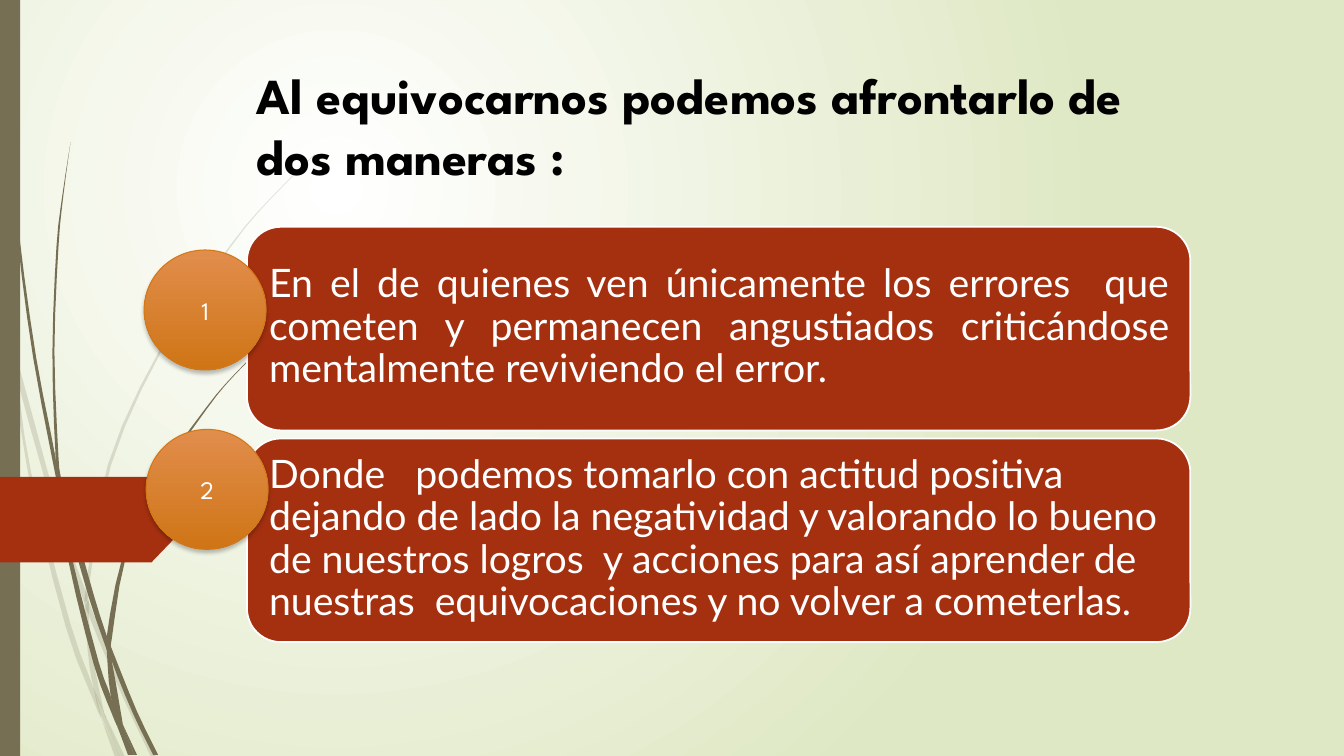
from dataclasses import dataclass

from lxml import etree
from pptx import Presentation
from pptx.dml.color import RGBColor
from pptx.enum.shapes import MSO_SHAPE
from pptx.enum.text import MSO_ANCHOR, PP_ALIGN
from pptx.oxml.ns import qn
from pptx.util import Pt

PX = 9144  # EMU per px, 100 px to the inch
WIDE, HIGH = 12192000, 750 * PX
STEPS = 3  # line pieces per curve span

WHITE = RGBColor(0xFF, 0xFF, 0xFF)
BLACK = RGBColor(0x00, 0x00, 0x00)
PALE = RGBColor(0xDF, 0xE8, 0xC4)
OLIVE = RGBColor(0x76, 0x6F, 0x54)
RUST = RGBColor(0xA5, 0x30, 0x10)
LIGHT = RGBColor(0xE1, 0x8D, 0x4C)
DEEP = RGBColor(0xCF, 0x75, 0x16)
EDGE = RGBColor(0xD4, 0x78, 0x17)

RECT, ROUND = MSO_SHAPE.RECTANGLE, MSO_SHAPE.ROUNDED_RECTANGLE
OVAL, ARROW = MSO_SHAPE.OVAL, MSO_SHAPE.PENTAGON
TOP, MIDDLE = MSO_ANCHOR.TOP, MSO_ANCHOR.MIDDLE
LEFT, CENTER, JUSTIFY = PP_ALIGN.LEFT, PP_ALIGN.CENTER, PP_ALIGN.JUSTIFY

Points = list[tuple[int, int]]


@dataclass
class Blade:
    """A piece of grass between two edges that run from tip to root."""
    near: Points
    far: Points


@dataclass
class Item:
    left: int
    top: int
    text: str
    align: PP_ALIGN = CENTER


FAINT = [
    Blade([(0, 299), (10, 344), (11, 350)], [(0, 282), (9, 322), (11, 350)]),
    Blade([(14, 345), (17, 376), (58, 522), (84, 599)], [(14, 345), (62, 520), (85, 586)]),
    Blade([(88, 596), (88, 610), (123, 694), (150, 751)],
          [(88, 596), (92, 607), (127, 692), (155, 751)]),
    Blade([(105, 711), (119, 751)], [(105, 711), (124, 751)]),
    Blade([(11, 350), (28, 470), (65, 621), (92, 693), (101, 714)],
          [(11, 350), (17, 376), (31, 469), (70, 619), (93, 683), (101, 714)]),
    Blade([(84, 599), (87, 646), (93, 683), (105, 711)],
          [(84, 599), (88, 610), (91, 646), (103, 706), (105, 711)]),
    Blade([(312, 153), (268, 197), (228, 244), (158, 348), (107, 461), (85, 584), (88, 596)],
          [(312, 154), (268, 198), (229, 245), (160, 349), (110, 462), (88, 584), (88, 596)]),
    Blade([(101, 714), (114, 751)], [(101, 714), (119, 751)]),
    Blade([(85, 586), (84, 599), (88, 610)], [(85, 586), (88, 596), (88, 610)]),
    Blade([(93, 683), (99, 707), (119, 751)], [(93, 683), (105, 711), (119, 751)]),
]
SOLID = [
    Blade([(3, 0), (4, 48), (7, 110), (17, 233), (33, 355), (57, 481)],
          [(4, 0), (5, 48), (8, 109), (19, 232), (36, 355), (55, 453), (57, 481)]),
    Blade([(60, 472), (64, 505), (88, 592), (106, 645)], [(60, 472), (93, 590), (106, 631)]),
    Blade([(110, 641), (111, 656), (132, 708), (152, 749)],
          [(110, 641), (113, 649), (136, 706), (157, 749)]),
    Blade([(57, 477), (68, 557), (93, 659), (111, 708), (117, 722)],
          [(57, 477), (64, 505), (72, 556), (98, 657), (110, 691), (117, 722)]),
    Blade([(70, 141), (62, 193), (56, 245), (52, 349), (55, 449), (60, 472)],
          [(70, 141), (63, 193), (58, 245), (54, 349), (58, 453), (60, 472)]),
    Blade([(122, 719), (133, 749)], [(122, 719), (136, 749)]),
    Blade([(55, 449), (57, 477), (64, 505)], [(55, 449), (60, 472), (64, 505)]),
    Blade([(260, 344), (231, 373), (204, 405), (156, 474), (122, 551), (106, 631), (110, 641)],
          [(261, 344), (231, 374), (205, 406), (158, 476), (125, 552), (111, 633), (110, 641)]),
    Blade([(117, 722), (127, 749)], [(117, 722), (131, 749)]),
    Blade([(106, 645), (110, 691), (122, 719)], [(106, 645), (111, 656), (122, 719)]),
    Blade([(106, 631), (106, 645), (111, 656)], [(106, 631), (110, 641), (111, 656)]),
    Blade([(110, 691), (117, 722), (130, 749)], [(110, 691), (122, 719), (133, 749)]),
]

CARDS = [
    Item(245, 225, "En el de quienes ven únicamente los errores  que cometen y "
         "permanecen angustiados criticándose mentalmente reviviendo el error.", JUSTIFY),
    Item(245, 435, "Donde   podemos tomarlo con actitud positiva dejando de lado "
         "la negatividad y valorando lo bueno de nuestros logros  y acciones para "
         "así aprender de nuestras  equivocaciones y no volver a cometerlas.", LEFT),
]
BADGES = [Item(143, 248, "1"), Item(145, 426, "2")]
TITLE = "Al equivocarnos podemos afrontarlo de dos maneras :"


def smooth(knots: Points) -> list[tuple[float, float]]:
    """Trace a Catmull-Rom curve through the knots, in EMU."""
    ends = [knots[0], *knots, knots[-1]]
    trace = []
    for a, b, c, d in zip(ends, ends[1:], ends[2:], ends[3:]):
        for t in (step / STEPS for step in range(STEPS)):
            trace.append(tuple(PX / 2 * (
                2 * q + (r - p) * t + (2 * p - 5 * q + 4 * r - s) * t ** 2
                + (3 * q - p - 3 * r + s) * t ** 3)
                for p, q, r, s in zip(a, b, c, d)))
    return trace + [(knots[-1][0] * PX, knots[-1][1] * PX)]


def add_alpha(color, share: int) -> None:
    etree.SubElement(color, qn("a:alpha")).set("val", str(share * 1000))


def shade(fill, first: RGBColor, last: RGBColor) -> None:
    fill.gradient()
    for stop, color in zip(fill.gradient_stops, (first, last)):
        stop.color.rgb = color


def paint(shape, color: RGBColor):
    shape.shadow.inherit = False
    shape.fill.solid()
    shape.fill.fore_color.rgb = color
    shape.line.fill.background()
    return shape


def draw_shape(slide, kind, left: int, top: int, wide: int, high: int, color: RGBColor):
    return paint(slide.shapes.add_shape(kind, left * PX, top * PX, wide * PX, high * PX), color)


def write(shape, text: str, font: str, size: int, color: RGBColor, align,
          anchor=MIDDLE, bold: bool = False):
    frame = shape.text_frame
    frame.text = text
    frame.word_wrap = True
    frame.vertical_anchor = anchor
    frame.paragraphs[0].alignment = align
    face = frame.paragraphs[0].runs[0].font
    face.name, face.size, face.bold = font, Pt(size), bold
    face.color.rgb = color
    return frame


def draw_back(slide) -> None:
    shade(slide.background.fill, WHITE, PALE)
    grad = slide.element.find(".//" + qn("a:gradFill"))
    grad.remove(grad.find(qn("a:lin")))
    way = etree.SubElement(grad, qn("a:path"), {"path": "circle"})
    etree.SubElement(way, qn("a:fillToRect"),
                     {"l": "50000", "t": "50000", "r": "100000", "b": "100000"})


def draw_blade(slide, blade: Blade, alpha: int) -> None:
    rim = smooth(blade.near) + smooth(blade.far)[::-1]
    pen = slide.shapes.build_freeform(*rim[0], scale=1.0)
    pen.add_line_segments(rim[1:], close=True)
    shape = paint(pen.convert_to_shape(), OLIVE)
    add_alpha(shape.element.spPr.find(".//" + qn("a:srgbClr")), alpha)


def draw_card(slide, card: Item) -> None:
    shape = draw_shape(slide, ROUND, card.left, card.top, 936, 202, RUST)
    shape.line.color.rgb, shape.line.width = WHITE, Pt(1.25)
    box = slide.shapes.add_textbox((card.left + 10) * PX, (card.top + 9) * PX, 917 * PX, 182 * PX)
    frame = write(box, card.text, "Lato", 28, WHITE, card.align)
    frame.paragraphs[0].line_spacing = 0.9
    frame.margin_left = frame.margin_right = 12 * PX
    frame.margin_top = frame.margin_bottom = 12 * PX


def draw_badge(slide, badge: Item) -> None:
    shape = draw_shape(slide, OVAL, badge.left, badge.top, 121, 119, DEEP)
    shade(shape.fill, LIGHT, DEEP)
    shape.fill.gradient_angle = 270
    shape.line.color.rgb, shape.line.width = EDGE, Pt(0.75)
    cast = etree.SubElement(shape.element.spPr.find(qn("a:effectLst")), qn("a:outerShdw"), {
        "blurRad": str(Pt(3)), "dist": str(Pt(2)), "dir": "5400000", "rotWithShape": "0"})
    add_alpha(etree.SubElement(cast, qn("a:srgbClr"), {"val": str(BLACK)}), 25)
    write(shape, badge.text, "League Spartan", 18, WHITE, badge.align)


def main() -> None:
    deck = Presentation()
    deck.slide_width, deck.slide_height = WIDE, HIGH
    slide = deck.slides.add_slide(deck.slide_layouts[6])
    # Backdrop: grass, side bar and flag
    draw_back(slide)
    for blades, alpha in ((FAINT, 20), (SOLID, 100)):
        for blade in blades:
            draw_blade(slide, blade, alpha)
    draw_shape(slide, RECT, 0, 0, 20, 750, OLIVE)
    flag = draw_shape(slide, ARROW, 0, 473, 191, 85, RUST)
    flag.adjustments[0] = 0.48
    # Cards, title and numbers
    for card in CARDS:
        draw_card(slide, card)
    title = slide.shapes.add_textbox(245 * PX, 59 * PX, 936 * PX, 131 * PX)
    write(title, TITLE, "League Spartan", 36, BLACK, LEFT, TOP, True)
    for badge in BADGES:
        draw_badge(slide, badge)
    deck.save("out.pptx")


if __name__ == "__main__":
    main()
